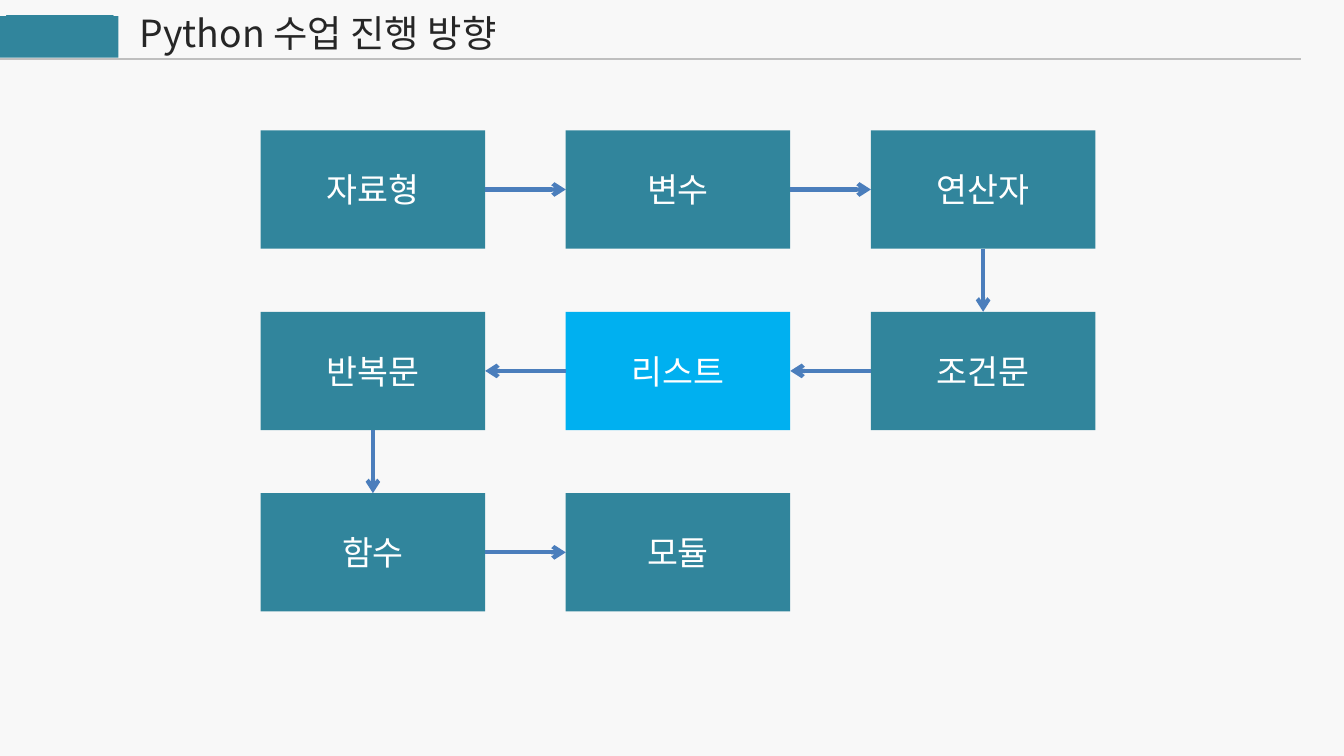
import pptx
import pptx.util
import pptx.dml.color
import pptx.enum.shapes
import pptx.enum.text
import pptx.oxml
import pptx.oxml.ns

Inches = pptx.util.Inches
Pt = pptx.util.Pt
Color = pptx.dml.color.RGBColor
Align = pptx.enum.text.PP_ALIGN
Anchor = pptx.enum.text.MSO_ANCHOR
RECT = pptx.enum.shapes.MSO_SHAPE.RECTANGLE
LINE = pptx.enum.shapes.MSO_CONNECTOR.STRAIGHT

PAPER = Color(0xF8, 0xF8, 0xF8)
TEAL = Color(0x31, 0x85, 0x9C)
SKY = Color(0x00, 0xB0, 0xF0)
BLUE = Color(0x4B, 0x7E, 0xBC)
GRAY = Color(0xBF, 0xBF, 0xBF)
INK = Color(0x26, 0x26, 0x26)
WHITE = Color(0xFF, 0xFF, 0xFF)
FONT = "Noto Sans CJK KR"
SPACE = pptx.oxml.ns.nsdecls("a")


def block(x, y, wide, high, color):
    """Draw a plain filled rectangle."""
    rect = slide.shapes.add_shape(
        RECT, Inches(x), Inches(y), Inches(wide), Inches(high))
    rect.shadow.inherit = False
    rect.fill.solid()
    rect.fill.fore_color.rgb = color
    rect.line.fill.background()
    return rect


def draw(x1, y1, x2, y2, color, width):
    """Draw a straight line without a shadow."""
    line = slide.shapes.add_connector(
        LINE, Inches(x1), Inches(y1), Inches(x2), Inches(y2))
    line.line.color.rgb = color
    line.line.width = Pt(width)
    line._element.spPr.append(
        pptx.oxml.parse_xml("<a:effectLst %s/>" % SPACE))
    return line


deck = pptx.Presentation()
deck.slide_width = Inches(10)
deck.slide_height = deck.slide_width * 9 // 16
slide = deck.slides.add_slide(deck.slide_layouts[6])
slide.background.fill.solid()
slide.background.fill.fore_color.rgb = PAPER

# Header
title = slide.shapes.add_textbox(
    Inches(0.94), Inches(0.03), Inches(4.85), Inches(0.44))
title.text_frame.word_wrap = True
title.text_frame.text = "Python 수업 진행 방향"
texts = [(title, 20, INK)]

block(-0.01, 0.12, 0.89, 0.31, TEAL)
badge = block(0.05, 0.12, 0.79, 0.3, TEAL)
badge.line.color.rgb = TEAL
badge.line.width = Pt(0.75)
draw(-0.01, 0.44, 9.68, 0.44, GRAY, 1)

# Steps: column, row and label, in teaching order
steps = [
    (0, 0, "자료형"), (1, 0, "변수"), (2, 0, "연산자"),
    (2, 1, "조건문"), (1, 1, "리스트"), (0, 1, "반복문"),
    (0, 2, "함수"), (1, 2, "모듈"),
]
LEFT, TOP = 1.94, 0.97
WIDE, HIGH = 1.67, 0.88
GAP_X, GAP_Y = 0.6, 0.47

boxes = []
for col, row, label in steps:
    box = block(LEFT + col * (WIDE + GAP_X), TOP + row * (HIGH + GAP_Y),
                WIDE, HIGH, SKY if label == "리스트" else TEAL)
    frame = box.text_frame
    frame.vertical_anchor = Anchor.MIDDLE
    frame.text = label
    frame.paragraphs[0].alignment = Align.CENTER
    texts.append((box, 18, WHITE))
    boxes.append(box)

for shape, size, color in texts:
    font = shape.text_frame.paragraphs[0].runs[0].font
    font.size = Pt(size)
    font.color.rgb = color
    font.name = FONT
    font._element.append(
        pptx.oxml.parse_xml('<a:ea %s typeface="%s"/>' % (SPACE, FONT)))

# Arrows join each step to the next: sites are 0 top, 1 left, 2 bottom, 3 right
for i in range(len(steps) - 1):
    col, row = steps[i][:2]
    after, below = steps[i + 1][:2]
    if below > row:
        start, end = 2, 0
    elif after > col:
        start, end = 3, 1
    else:
        start, end = 1, 3
    arrow = draw(0, 0, 1, 1, BLUE, 2.25)
    arrow.line._get_or_add_ln().append(
        pptx.oxml.parse_xml('<a:tailEnd %s type="arrow"/>' % SPACE))
    arrow.begin_connect(boxes[i], start)
    arrow.end_connect(boxes[i + 1], end)

deck.save("out.pptx")
